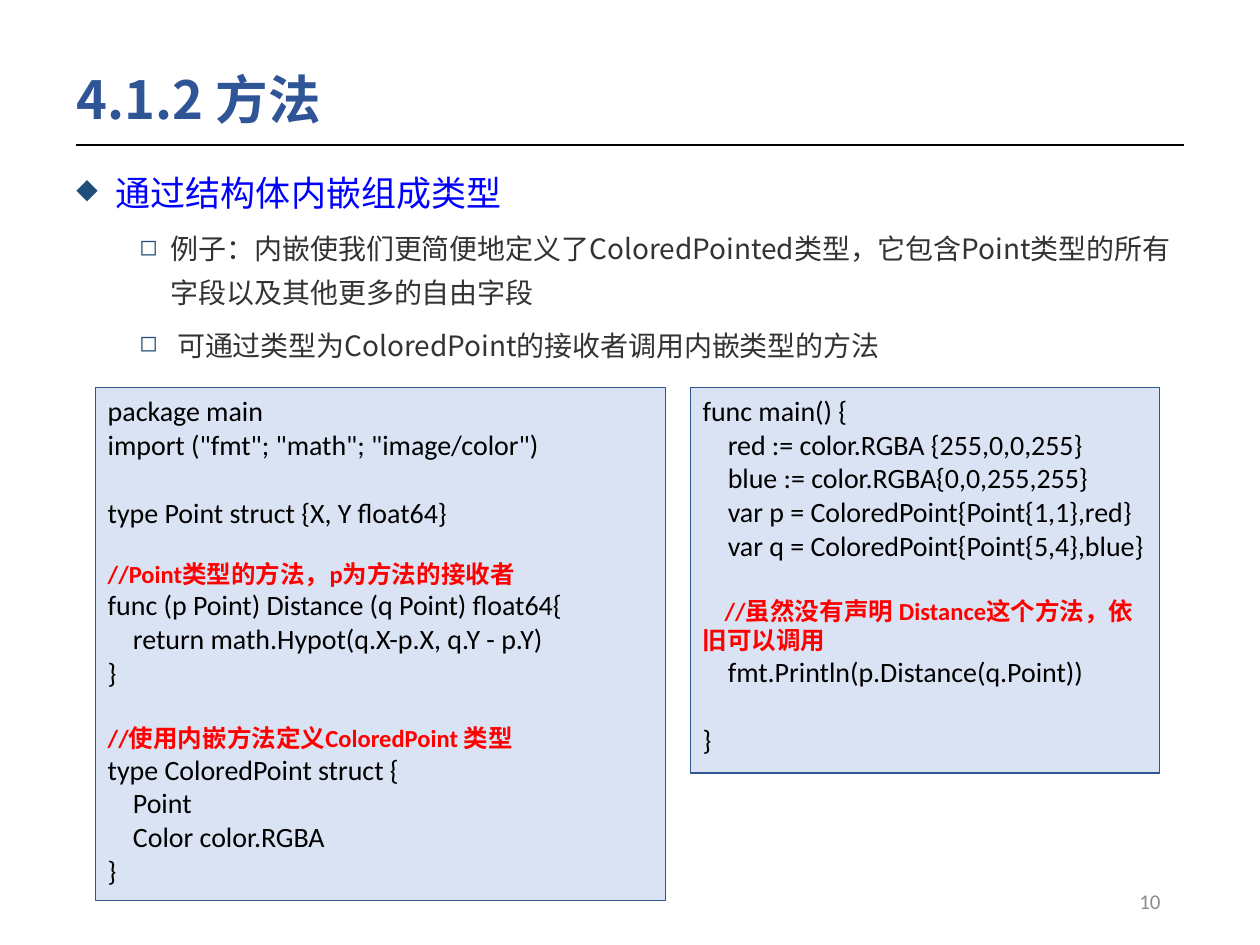
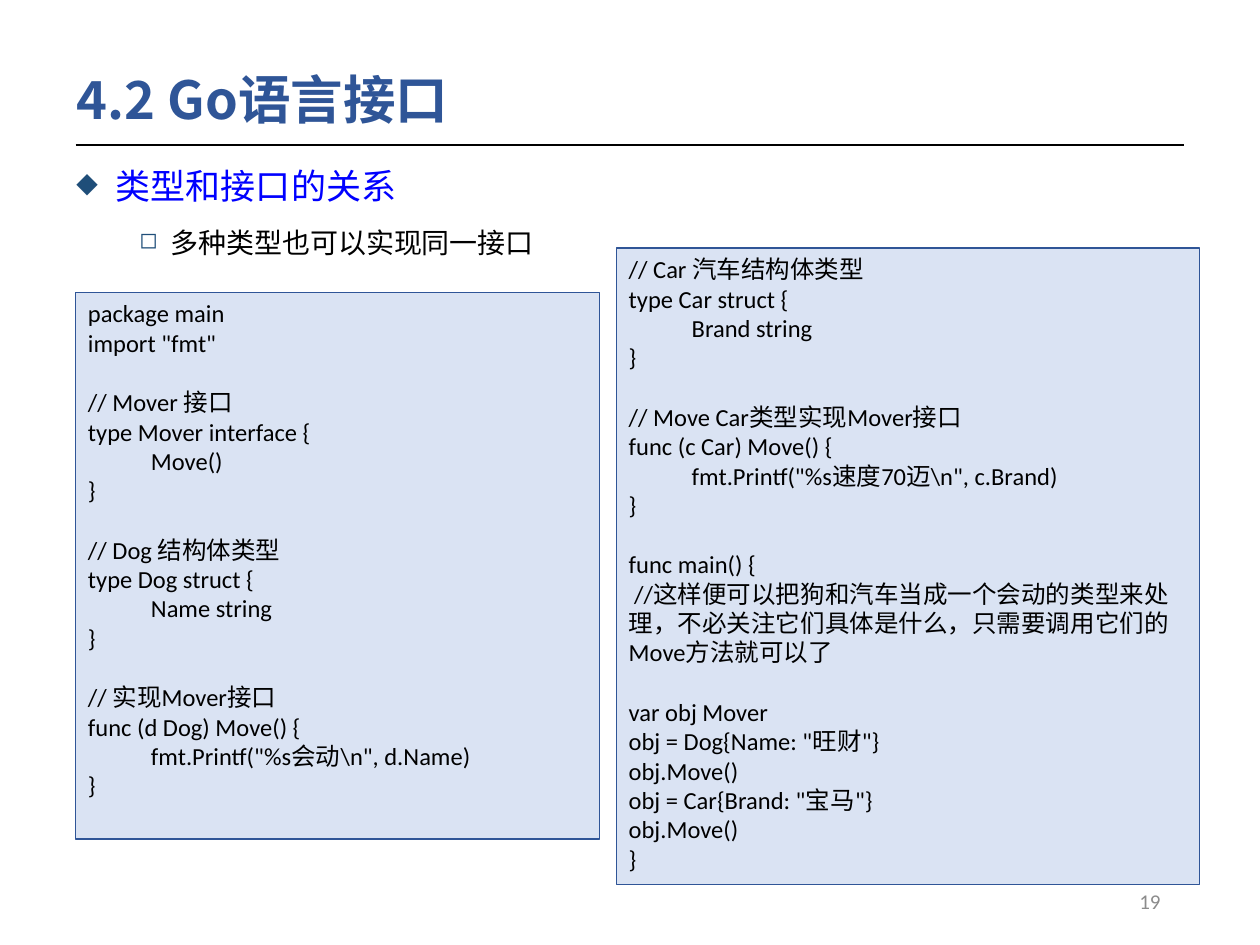
from lxml.etree import SubElement
from pptx import Presentation
from pptx.dml.color import RGBColor
from pptx.enum.shapes import MSO_CONNECTOR as Connector, MSO_SHAPE as Shape
from pptx.enum.text import MSO_ANCHOR as Anchor, MSO_AUTO_SIZE as AutoSize, PP_ALIGN as Align
from pptx.oxml.ns import qn
from pptx.util import Pt

# Shared style
HEADING_FONT, CODE_FONT = "Noto Sans CJK SC", "Calibri"
NAVY, BLUE, BULLET, PANEL = "2F5597", "0000FF", "1F4E79", "DAE3F3"
BLACK, GREY, DARK, RED = "000000", "8C8C8C", "333333", "FF0000"
LINE_HEIGHT = 1.22
TITLE_BOX = (36.6, 34.6, 620.6, 48.2)
NUMBER_BOX = (508.3, 500.4, 162, 28.8)
RULE = (43.2, 82.8, 676.8, 82.8)

# Slide 1 code
POINT_CODE = [
    "package main",
    'import ("fmt"; "math"; "image/color")',
    16,
    "type Point struct {X, Y float64}",
    14,
    "//Point类型的方法，p为方法的接收者",
    "func (p Point) Distance (q Point) float64{",
    "    return math.Hypot(q.X-p.X, q.Y - p.Y)",
    "}",
    16,
    "//使用内嵌方法定义ColoredPoint 类型",
    "type ColoredPoint struct {",
    "    Point",
    "    Color color.RGBA",
    "}",
]
POINT_MAIN = [
    "func main() {",
    "    red := color.RGBA {255,0,0,255}",
    "    blue := color.RGBA{0,0,255,255}",
    "    var p = ColoredPoint{Point{1,1},red}",
    "    var q = ColoredPoint{Point{5,4},blue}",
    16,
    "    //虽然没有声明 Distance这个方法，依旧可以调用",
    "    fmt.Println(p.Distance(q.Point))",
    16,
    "}",
]

# Slide 2 code
DOG_CODE = [
    "package main",
    'import "fmt"',
    14,
    "// Mover 接口",
    "type Mover interface {",
    "\tMove()",
    "}",
    14,
    "// Dog 结构体类型",
    "type Dog struct {",
    "\tName string",
    "}",
    14,
    "// 实现Mover接口",
    "func (d Dog) Move() {",
    '\tfmt.Printf("%s会动\\n", d.Name)',
    "}",
]
CAR_CODE = [
    "// Car 汽车结构体类型",
    "type Car struct {",
    "\tBrand string",
    "}",
    14,
    "// Move Car类型实现Mover接口",
    "func (c Car) Move() {",
    '\tfmt.Printf("%s速度70迈\\n", c.Brand)',
    "}",
    14,
    "func main() {",
    " //这样便可以把狗和汽车当成一个会动的类型来处理，不必关注它们具体是什么，只需要调用它们的Move方法就可以了",
    14,
    "var obj Mover",
    'obj = Dog{Name: "旺财"}',
    "obj.Move()",
    'obj = Car{Brand: "宝马"}',
    "obj.Move()",
    "}",
]


def color(hex_text):
    return RGBColor.from_string(hex_text)


def points(values):
    return [Pt(value) for value in values]


def style(paragraph, size, hex_text, font_name=HEADING_FONT, bold=False):
    font = paragraph.font
    font.size, font.bold, font.name = Pt(size), bold, font_name
    font.color.rgb = color(hex_text)
    defaults = paragraph._p.pPr.find(qn("a:defRPr"))
    SubElement(defaults, qn("a:ea"), typeface=HEADING_FONT)


def prepare_frame(shape, anchor=Anchor.TOP):
    frame = shape.text_frame
    frame.word_wrap = True
    frame.auto_size = AutoSize.NONE
    frame.vertical_anchor = anchor
    return frame


def next_paragraph(frame, is_first):
    return frame.paragraphs[0] if is_first else frame.add_paragraph()


def add_frame(slide, title, number):
    """Title, rule and page number."""
    shape = slide.shapes.title
    shape.left, shape.top, shape.width, shape.height = points(TITLE_BOX)
    paragraph = prepare_frame(shape, Anchor.MIDDLE).paragraphs[0]
    paragraph.text = title
    paragraph.alignment = Align.LEFT
    paragraph.line_spacing = 0.9
    style(paragraph, 30, NAVY, bold=True)

    rule = slide.shapes.add_connector(Connector.STRAIGHT, *points(RULE))
    rule.line.color.rgb = color(BLACK)
    rule.line.width = Pt(1.5)
    SubElement(rule._element.spPr, qn("a:effectLst"))

    number_box = slide.shapes.add_textbox(*points(NUMBER_BOX))
    paragraph = prepare_frame(number_box, Anchor.MIDDLE).paragraphs[0]
    paragraph.text = str(number)
    paragraph.alignment = Align.RIGHT
    style(paragraph, 12, GREY, CODE_FONT)


def add_bullet(paragraph, symbol, left, hanging):
    properties = paragraph._p.get_or_add_pPr()
    properties.set("marL", str(Pt(left)))
    properties.set("indent", str(-Pt(hanging)))
    bullet_color = SubElement(properties, qn("a:buClr"))
    SubElement(bullet_color, qn("a:srgbClr"), val=BULLET)
    SubElement(properties, qn("a:buSzPct"), val="80000")
    SubElement(properties, qn("a:buChar"), char=symbol)


def add_outline(slide, box, topic, details, detail_color):
    """A blue topic with its details below."""
    frame = prepare_frame(slide.shapes.add_textbox(*points(box)))
    for index, text in enumerate([topic, *details]):
        is_topic = index == 0
        paragraph = next_paragraph(frame, is_topic)
        paragraph.text = text
        paragraph.line_spacing = 1.3
        if is_topic:
            add_bullet(paragraph, "◆", 22.5, 22.5)
            style(paragraph, 20, BLUE)
        else:
            paragraph.level = 1
            paragraph.space_before = Pt(5)
            add_bullet(paragraph, "◻", 54, 18)
            style(paragraph, 16, detail_color)


def add_code_panel(slide, box, lines, size, red_comments=False):
    """Code lines; a number stands for a gap one line of that size high."""
    panel = slide.shapes.add_shape(Shape.RECTANGLE, *points(box))
    panel.shadow.inherit = False
    panel.fill.solid()
    panel.fill.fore_color.rgb = color(PANEL)
    panel.line.color.rgb = color(NAVY)
    panel.line.width = Pt(0.75)
    frame = prepare_frame(panel)
    gap = 0
    for index, line in enumerate(lines):
        if isinstance(line, int):
            gap = line * LINE_HEIGHT
            continue
        paragraph = next_paragraph(frame, index == 0)
        paragraph.text = line
        paragraph.alignment = Align.LEFT
        if gap:
            paragraph.space_before = Pt(gap)
            gap = 0
        if "\t" in line:
            tabs = SubElement(paragraph._p.get_or_add_pPr(), qn("a:tabLst"))
            SubElement(tabs, qn("a:tab"), pos=str(Pt(36)), algn="l")
        if red_comments and line.lstrip().startswith("//"):
            style(paragraph, 14, RED, CODE_FONT, bold=True)
        else:
            style(paragraph, size, BLACK, CODE_FONT)


def build_methods_slide(slide):
    add_frame(slide, "4.1.2 方法", 10)
    add_outline(slide, (36.6, 87.1, 640, 413.3), "通过结构体内嵌组成类型", [
        "例子：内嵌使我们更简便地定义了ColoredPointed类型，它包含Point类型的所有字段以及其他更多的自由字段",
        " 可通过类型为ColoredPoint的接收者调用内嵌类型的方法",
    ], DARK)
    add_code_panel(slide, (54.5, 221.5, 325.7, 293), POINT_CODE, 16, red_comments=True)
    add_code_panel(slide, (394.4, 221.5, 268.2, 220.3), POINT_MAIN, 16, red_comments=True)


def build_interface_slide(slide):
    add_frame(slide, "4.2 Go语言接口", 19)
    add_outline(slide, (36.6, 83.5, 640, 413.3), "类型和接口的关系",
                ["多种类型也可以实现同一接口"], BLACK)
    add_code_panel(slide, (43.2, 167, 299.5, 312.5), DOG_CODE, 14)
    add_code_panel(slide, (352.2, 141.7, 333.4, 363.6), CAR_CODE, 14)


def main():
    presentation = Presentation()
    presentation.slide_width, presentation.slide_height = Pt(720), Pt(540)
    title_only = presentation.slide_layouts[5]
    for build in (build_methods_slide, build_interface_slide):
        build(presentation.slides.add_slide(title_only))
    presentation.save("out.pptx")


if __name__ == "__main__":
    main()
